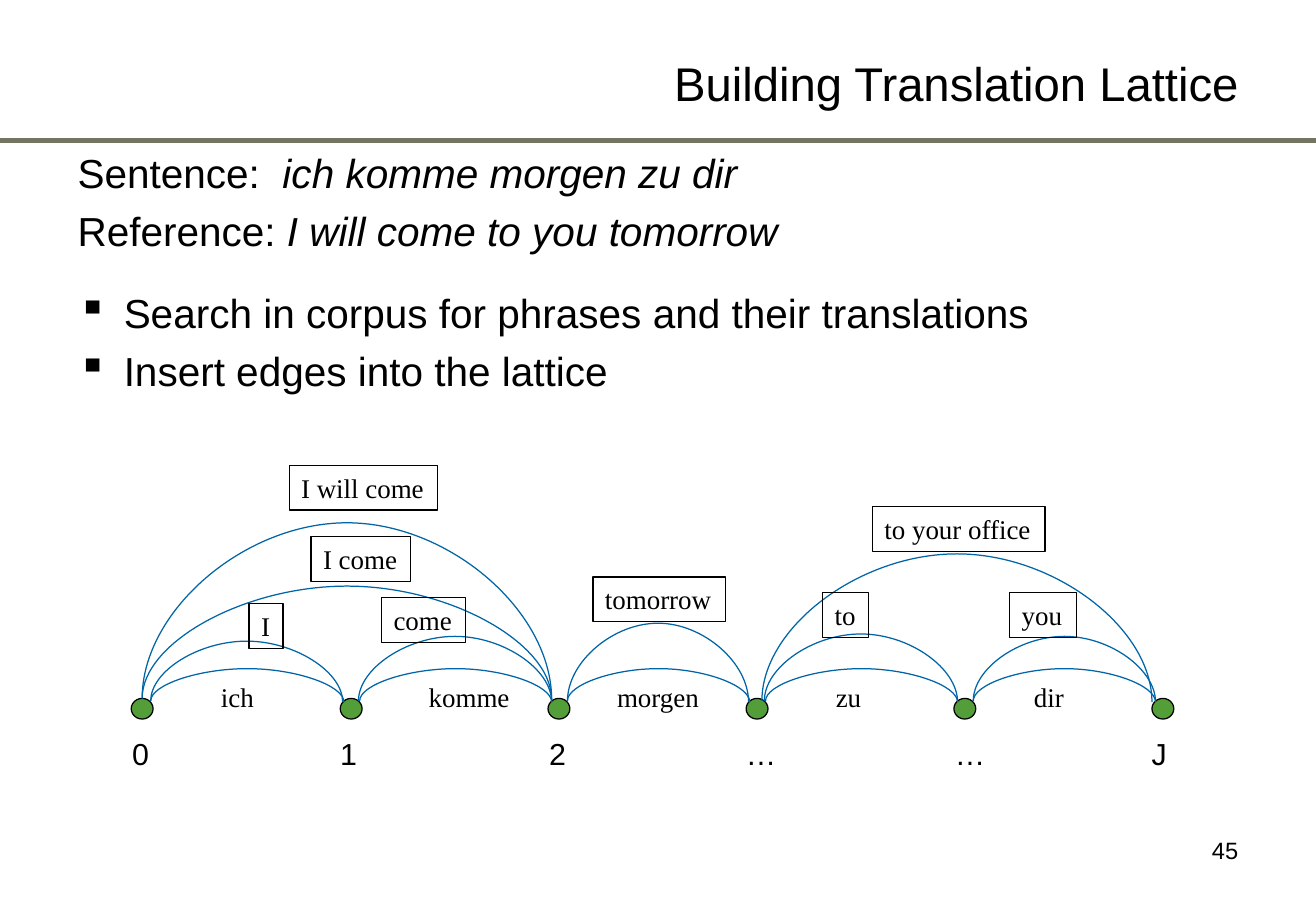
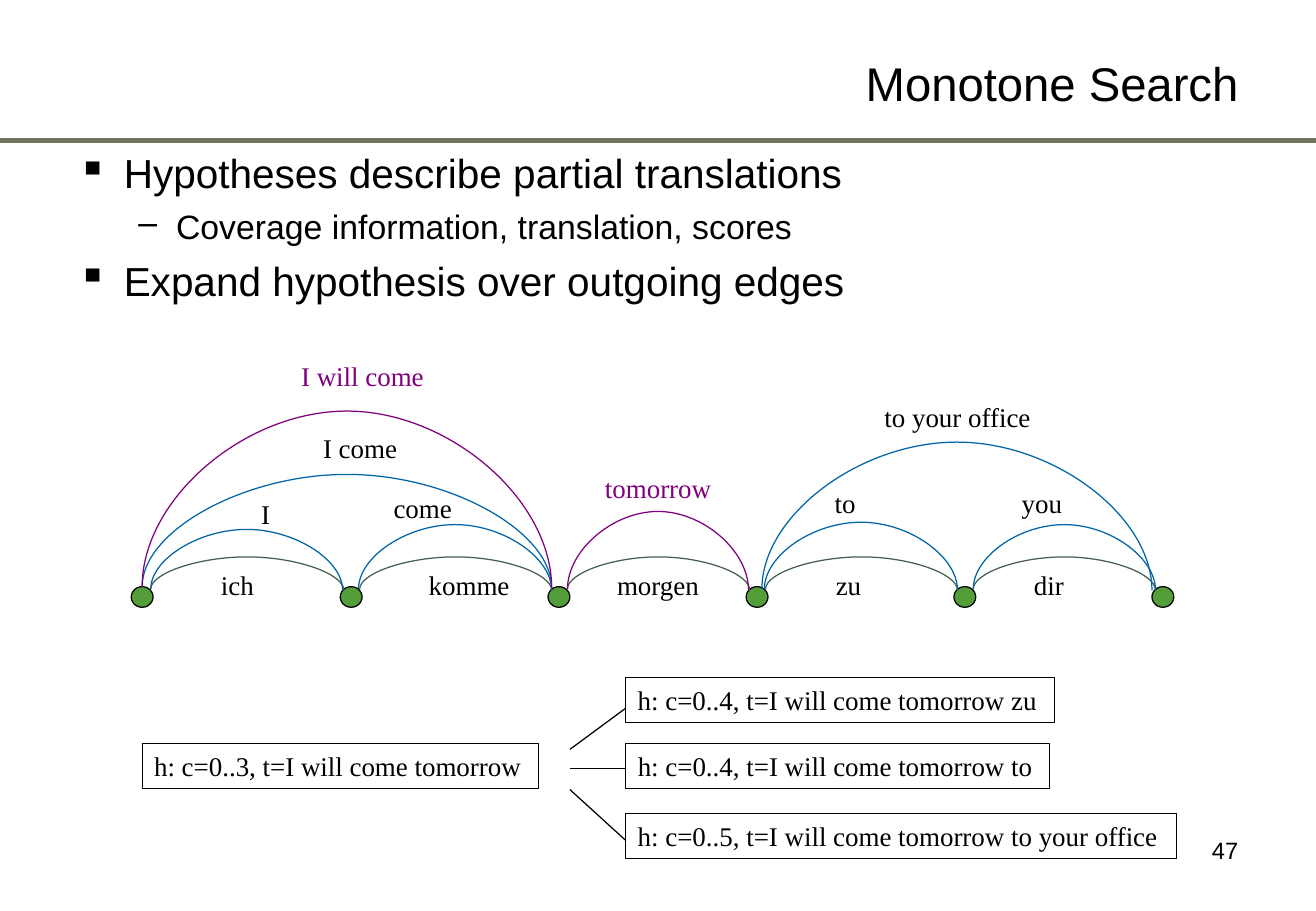
"""Build two slides on translation lattices and monotone search."""
from lxml import etree
from pptx import Presentation
from pptx.dml.color import RGBColor
from pptx.enum.shapes import MSO_CONNECTOR, MSO_SHAPE
from pptx.enum.text import MSO_ANCHOR, PP_ALIGN
from pptx.oxml.ns import qn
from pptx.util import Inches, Pt

LINE, CURVE = MSO_CONNECTOR.STRAIGHT, MSO_CONNECTOR.CURVE
OVAL = MSO_SHAPE.OVAL
MIDDLE = MSO_ANCHOR.MIDDLE
LEFT, RIGHT = PP_ALIGN.LEFT, PP_ALIGN.RIGHT

COLORS = {"ink": "000000", "band": "747462", "node": "549E39",
          "edge": "0065A6", "source": "455F51", "path": "800080"}
FONTS = {
    "title": {"name": "Arial", "size": Pt(28)},
    "body": {"name": "Arial", "size": Pt(24)},
    "sub": {"name": "Arial", "size": Pt(20)},
    "index": {"name": "Arial", "size": Pt(18)},
    "page": {"name": "Arial", "size": Pt(14)},
    "label": {"name": "Times New Roman", "size": Pt(16)},
}
LEVELS = {"plain": ("body", 0.38, -0.38, None),
          "bullet": ("body", 0.38, -0.38, "▪"),
          "dash": ("sub", 0.81, -0.31, "–")}

NODES = [1.08, 2.8, 4.51, 6.14, 7.85, 9.48]
NODE_TOP, ARC_TOP, DROP = 5.75, 5.77, 0.01
INDEXES = [("0", 0.99, 0.34), ("1", 2.7, 0.34), ("2", 4.42, 0.34),
           ("…", 6.04, 0.45), ("…", 7.76, 0.45), ("J", 9.38, 0.33)]
WORDS = [("ich", 1.72, 0.48), ("komme", 3.43, 0.88), ("morgen", 4.98, 0.88),
         ("zu", 6.78, 0.41), ("dir", 8.41, 0.45)]
PHRASES = [
    ("I", (2.05, 4.97, 0.28), (1.24, 2.82, 5.77, 5.27)),
    ("come", (3.14, 4.92, 0.69), (2.95, 4.54, 5.77, 5.23)),
    ("I come", (2.56, 4.42, 0.82), (1.17, 4.54, 5.75, 4.81)),
    ("I will come", (2.38, 3.83, 1.22), (1.17, 4.54, 5.75, 4.28)),
    ("tomorrow", (4.88, 4.75, 1.09), (4.67, 6.16, 5.77, 5.12)),
    ("to", (6.77, 4.88, 0.38), (6.29, 7.88, 5.77, 5.21)),
    ("you", (8.31, 4.88, 0.55), (8.01, 9.51, 5.77, 5.23)),
    ("to your office", (7.18, 4.17, 1.42), (6.27, 9.48, 5.77, 4.54)),
]
BUILD = [
    ("plain", 0, ["Sentence:  ", "ich komme morgen zu dir"]),
    ("plain", 5.5, ["Reference: ", "I will come to you tomorrow"]),
    ("bullet", 19.7, ["Search in corpus for phrases and their translations"]),
    ("bullet", 5.5, ["Insert edges into the lattice"]),
]
SEARCH = [
    ("bullet", 0, ["Hypotheses describe partial translations"]),
    ("dash", 5.5, ["Coverage information, translation, scores"]),
    ("bullet", 5.5, ["Expand hypothesis over outgoing edges"]),
]
STATES = [
    ("h: c=0..3, t=I will come tomorrow", 1.17, 6.12, 3.26),
    ("h: c=0..4, t=I will come tomorrow zu", 5.15, 5.58, 3.53),
    ("h: c=0..4, t=I will come tomorrow to", 5.15, 6.12, 3.49),
    ("h: c=0..5, t=I will come tomorrow to your office", 5.15, 6.7, 4.53),
]
LINKS = [(6.17, 5.83), (6.33, 6.33), (6.5, 6.92)]


def rgb(key):
    """Return a named colour."""
    return RGBColor.from_string(COLORS[key])


def style(font, key, color="ink", **extra):
    """Set a named font format."""
    for name, value in {**FONTS[key], **extra}.items():
        setattr(font, name, value)
    font.color.rgb = rgb(color)


def stroke(line, color="ink", width=0.75):
    """Set colour and width of a line."""
    line.color.rgb = rgb(color)
    line.width = Pt(width)


def add_text(slide, text, spot, font, color="ink", align=LEFT, frame=False):
    """Add one unwrapped line of text, framed if asked."""
    box = slide.shapes.add_textbox(*map(Inches, spot))
    box.text_frame.word_wrap = False
    para = box.text_frame.paragraphs[0]
    para.alignment = align
    run = para.add_run()
    run.text = text
    style(run.font, font, color)
    if frame:
        stroke(box.line)


def add_line(slide, ends, color="ink", width=0.75, kind=LINE):
    """Add a connector without a shadow."""
    line = slide.shapes.add_connector(kind, *map(Inches, ends))
    stroke(line.line, color, width)
    etree.SubElement(line.element.spPr, qn("a:effectLst"))
    return line


def add_arc(slide, x1, x2, y, peak, color):
    """Add an arch as a curved connector turned by a right angle."""
    mid, half = (x1 + x2) / 2, (x2 - x1) / 2
    cy = y + DROP / 2
    ends = (mid - DROP / 2, cy + half, mid + DROP / 2, cy - half)
    props = add_line(slide, ends, color, kind=CURVE).element.spPr
    props.find(qn("a:xfrm")).set("rot", "5400000")
    guides = props.find(qn("a:prstGeom")).find(qn("a:avLst"))
    bend = round((peak - y) / DROP * 100000)
    etree.SubElement(guides, qn("a:gd"), name="adj1", fmla=f"val {bend}")


def add_body(slide, rows):
    """Add the body text with its bullets."""
    box = slide.shapes.add_textbox(*map(Inches, (0.54, 1.17, 9.69, 2.31)))
    frame = box.text_frame
    frame.word_wrap = True
    for pos, (level, gap, parts) in enumerate(rows):
        para = frame.add_paragraph() if pos else frame.paragraphs[0]
        font, left, hang, mark = LEVELS[level]
        props = para._p.get_or_add_pPr()
        props.set("marL", str(Inches(left)))
        props.set("indent", str(Inches(hang)))
        if mark:
            etree.SubElement(props, qn("a:buChar"), char=mark)
        para.space_before = Pt(gap)
        for nth, part in enumerate(parts):
            run = para.add_run()
            run.text = part
            style(run.font, font, italic=nth > 0)


def add_graph(slide, shift=0, source="edge", chosen=(), frame=False):
    """Add the lattice: nodes, arcs and their words."""
    for left in NODES:
        spot = (left, NODE_TOP + shift, 0.18, 0.17)
        node = slide.shapes.add_shape(OVAL, *map(Inches, spot))
        node.shadow.inherit = False
        node.fill.solid()
        node.fill.fore_color.rgb = rgb("node")
        stroke(node.line)
    for left, after in zip(NODES, NODES[1:]):
        add_arc(slide, left + 0.16, after + 0.03, ARC_TOP + shift,
                5.5 + shift, source)
    for text, _, (x1, x2, y, peak) in PHRASES:
        add_arc(slide, x1, x2, y + shift, peak + shift,
                "path" if text in chosen else "edge")
    for text, left, width in WORDS:
        add_text(slide, text, (left, 5.55 + shift, width, 0.37), "label")
    for text, (left, top, width), _ in PHRASES:
        add_text(slide, text, (left, top + shift, width, 0.37), "label",
                 "path" if text in chosen else "ink", frame=frame)


def add_slide(deck, title, page, rows):
    """Add a slide with title, band, page number and body."""
    slide = deck.slides.add_slide(deck.slide_layouts[5])
    add_line(slide, (0, 1.16, 10.83, 1.16), "band", 3)
    head = slide.shapes.title
    place = dict(zip(("left", "top", "width", "height"),
                     map(Inches, (3.11, 0.19, 7.18, 0.98))))
    for name, value in place.items():
        setattr(head, name, value)
    head.text_frame.text = title
    head.text_frame.vertical_anchor = MIDDLE
    para = head.text_frame.paragraphs[0]
    para.alignment = RIGHT
    style(para.runs[0].font, "title")
    add_text(slide, page, (7.76, 6.83, 2.53, 0.52), "page", align=RIGHT)
    add_body(slide, rows)
    return slide


def main():
    """Build and save the deck."""
    deck = Presentation()
    deck.slide_width, deck.slide_height = Inches(10.83), Inches(7.5)

    slide = add_slide(deck, "Building Translation Lattice", "45", BUILD)
    add_graph(slide, frame=True)
    for text, left, width in INDEXES:
        add_text(slide, text, (left, 6, width, 0.4), "index")

    slide = add_slide(deck, "Monotone Search", "47", SEARCH)
    add_graph(slide, -0.92, "source", ("I will come", "tomorrow"))
    for text, left, top, width in STATES:
        add_text(slide, text, (left, top, width, 0.37), "label", frame=True)
    for start, end in LINKS:
        add_line(slide, (4.69, start, 5.15, end))

    deck.save("out.pptx")


if __name__ == "__main__":
    main()
